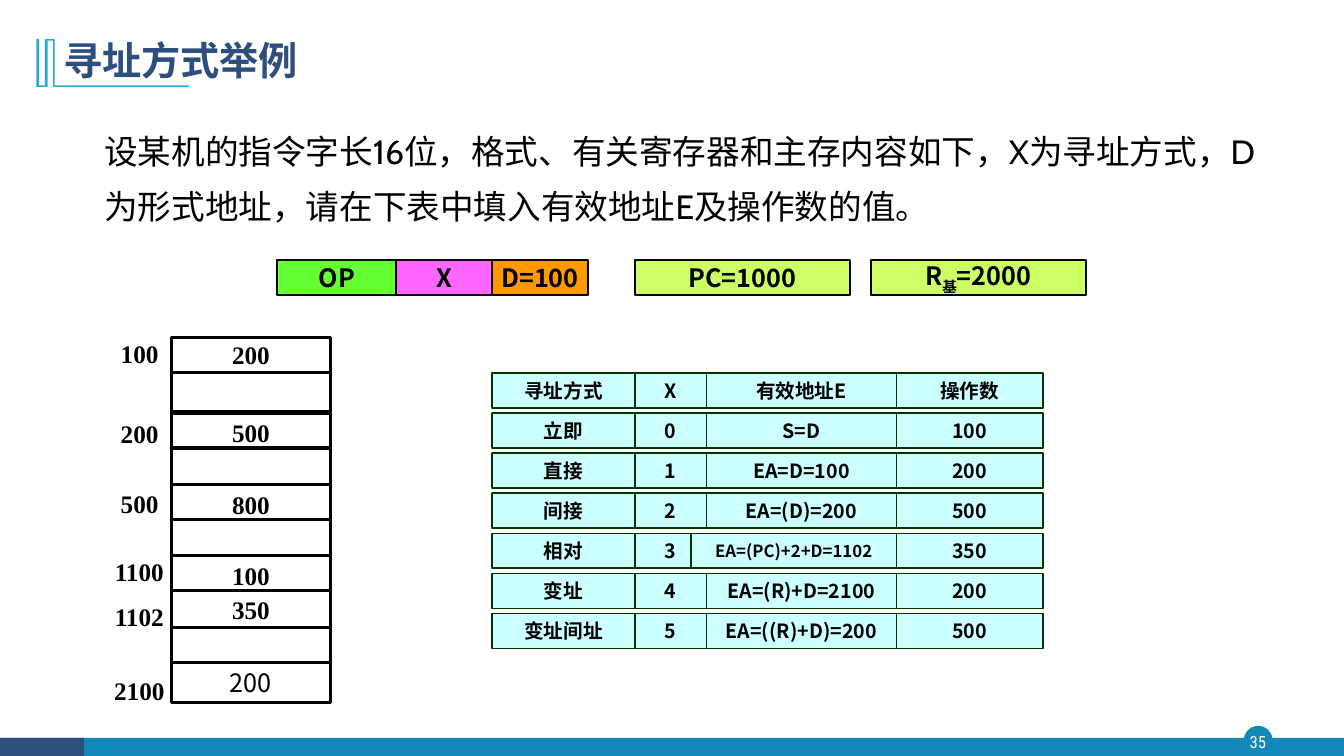
from lxml import etree
from pptx import Presentation
from pptx.dml.color import RGBColor
from pptx.enum.shapes import MSO_SHAPE
from pptx.enum.text import MSO_ANCHOR, MSO_AUTO_SIZE, PP_ALIGN
from pptx.oxml.ns import qn
from pptx.util import Pt

RECT, OVAL = MSO_SHAPE.RECTANGLE, MSO_SHAPE.OVAL
TOP, MIDDLE = MSO_ANCHOR.TOP, MSO_ANCHOR.MIDDLE
LEFT, CENTER = PP_ALIGN.LEFT, PP_ALIGN.CENTER
NO_AUTOSIZE = MSO_AUTO_SIZE.NONE

BLACK = RGBColor(0x00, 0x00, 0x00)
WHITE = RGBColor(0xFF, 0xFF, 0xFF)
NAVY = RGBColor(0x2E, 0x4E, 0x7E)
TEAL = RGBColor(0x13, 0x87, 0xB7)
SKY = RGBColor(0x28, 0xA9, 0xD6)
GREEN = RGBColor(0x66, 0xFF, 0x33)
PINK = RGBColor(0xFF, 0x66, 0xFF)
ORANGE = RGBColor(0xFF, 0x99, 0x00)
LIME = RGBColor(0xCC, 0xFF, 0x66)
PALE_CYAN = RGBColor(0xCC, 0xFF, 0xFF)
DARK_GREEN = RGBColor(0x00, 0x33, 0x00)

CJK, SERIF = "Noto Sans CJK SC", "Times New Roman"
LATIN, NUMBER = "Cabin", "Roboto Condensed"

# Instruction fields and registers: left offset, width, fill, text, subscript, rest
REGISTERS = [
    (0, 85, GREEN, "OP", "", ""),
    (85, 68.5, PINK, "X", "", ""),
    (153.5, 68.5, ORANGE, "D=100", "", ""),
    (255.5, 153.5, LIME, "PC=1000", "", ""),
    (424, 153.5, LIME, "R", "基", "=2000"),
]
# Memory cells: top offset, height, content
MEMORY_CELLS = [
    (0, 25, "200"), (25, 28, ""), (54, 28, "500"), (79, 26, ""), (105, 28, "800"),
    (130, 32, ""), (156, 28, "100"), (181, 26, "350"), (207, 26, ""), (232, 29, "200"),
]
# Memory addresses: top offset, address
ADDRESSES = [(-3, "100"), (54, "200"), (104.5, "500"),
             (152.5, "1100"), (185, "1102"), (237.5, "2100")]
MODES = [
    ("寻址方式", "X", "有效地址E", "操作数"),
    ("立即", "0", "S=D", "100"),
    ("直接", "1", "EA=D=100", "200"),
    ("间接", "2", "EA=(D)=200", "500"),
    ("相对", "3", "EA=(PC)+2+D=1102", "350"),
    ("变址", "4", "EA=(R)+D=2100", "200"),
    ("变址间址", "5", "EA=((R)+D)=200", "500"),
]
MODE_WIDTHS = (102, 51, 136, 104.5)
ROW_STEP, ROW_HEIGHT = 28.6, 25
RELATIVE_ROW, ADDRESS_COLUMN, EXTRA_WIDTH = 4, 2, 11


def add_run(paragraph, text, size, font, color=BLACK, bold=False):
    run = paragraph.add_run()
    run.text = text
    run.font.size, run.font.bold, run.font.name = Pt(size), bold, font
    run.font.color.rgb = color
    east_asian = etree.SubElement(run.font._element, qn("a:ea"))
    east_asian.set("typeface", CJK)
    return run


def set_frame(holder, align=CENTER, anchor=MIDDLE, wrap=True):
    frame = holder.text_frame
    frame.word_wrap, frame.vertical_anchor = wrap, anchor
    frame.auto_size = NO_AUTOSIZE
    frame.paragraphs[0].alignment = align
    return frame.paragraphs[0]


def add_block(slide, kind, left, top, width, height, fill, line=None, weight=1):
    block = slide.shapes.add_shape(kind, Pt(left), Pt(top), Pt(width), Pt(height))
    block.shadow.inherit = False
    block.fill.solid()
    block.fill.fore_color.rgb = fill
    if line is None:
        block.line.fill.background()
    else:
        block.line.color.rgb = line
        block.line.width = Pt(weight)
    return block


def add_label(slide, left, top, width, height):
    return slide.shapes.add_textbox(Pt(left), Pt(top), Pt(width), Pt(height))


def add_footer(slide, left, top, width, height):
    # Page badge, then the two-tone bar, then the page number
    add_block(slide, OVAL, left + 889, top - 8, 19.5, 19.5, TEAL, TEAL)
    add_block(slide, RECT, left, top, width, height, TEAL)
    add_block(slide, RECT, left, top, 60, height, NAVY)
    page_number = add_label(slide, left + 887, top - 8, 23, 22)
    paragraph = set_frame(page_number)
    frame = page_number.text_frame
    frame.margin_left = frame.margin_right = frame.margin_top = frame.margin_bottom = 0
    add_run(paragraph, "35", 12, NUMBER, WHITE)


def add_heading(slide, left, top, width, height):
    # Double-bar ornament with an underline
    outline = [(13, 0), (13, 33.2), (109, 33.2), (109, 34.4), (11.6, 34.4), (11.6, 1.4),
               (8, 1.4), (8, 34.4), (0, 34.4), (0, 0), (2, 0), (2, 32.6), (6, 32.6), (6, 0)]
    points = [(left + x, top + 8 + y) for x, y in outline]
    builder = slide.shapes.build_freeform(*points[0], scale=Pt(1))
    builder.add_line_segments(points[1:], close=True)
    ornament = builder.convert_to_shape()
    ornament.shadow.inherit = False
    ornament.fill.solid()
    ornament.fill.fore_color.rgb = SKY
    ornament.line.fill.background()

    title = slide.shapes.title
    title.left, title.top = Pt(left + 12), Pt(top)
    title.width, title.height = Pt(width - 12), Pt(height)
    paragraph = set_frame(title, LEFT)
    paragraph.line_spacing = 0.9
    add_run(paragraph, "寻址方式举例", 28, CJK, NAVY, True)


def add_question(slide, left, top, width, height):
    question = add_label(slide, left, top, width, height)
    paragraph = set_frame(question, LEFT, TOP)
    paragraph.line_spacing = 1.35
    add_run(paragraph, "设某机的指令字长16位，格式、有关寄存器和主存内容如下，X为寻址方式，"
            "D为形式地址，请在下表中填入有效地址E及操作数的值。", 24, LATIN)


def add_registers(slide, left, top, height):
    for offset, width, fill, name, subscript, rest in REGISTERS:
        register = add_block(slide, RECT, left + offset, top, width, height, fill, BLACK, 1.5)
        paragraph = set_frame(register, wrap=False)
        add_run(paragraph, name, 18, CJK, bold=True)
        if subscript:
            lowered = add_run(paragraph, subscript, 18, CJK, bold=True)
            lowered.font._element.set("baseline", "-25000")
            add_run(paragraph, rest, 18, CJK, bold=True)


def add_memory(slide, left, top, width):
    last = len(MEMORY_CELLS) - 1
    for index, (offset, height, content) in enumerate(MEMORY_CELLS):
        cell = add_block(slide, RECT, left, top + offset, width, height, WHITE, BLACK, 2.25)
        if content:
            font = CJK if index == last else SERIF
            add_run(set_frame(cell, wrap=False), content, 18, font, bold=index != last)
    for offset, address in ADDRESSES:
        label = add_label(slide, left - 57, top + offset, 68, 29)
        # Three-digit addresses sit in a narrower box
        if len(address) == 3:
            label.left, label.width = Pt(left - 45.5), Pt(45.5)
        add_run(set_frame(label, anchor=TOP), address, 18, SERIF, bold=True)


def add_mode_grid(slide, left, top):
    for row, entries in enumerate(MODES):
        for column, entry in enumerate(entries):
            cell_left, width = left + sum(MODE_WIDTHS[:column]), MODE_WIDTHS[column]
            size = 14
            # The long relative address gets a wider cell and smaller text
            if (row, column) == (RELATIVE_ROW, ADDRESS_COLUMN):
                cell_left, width, size = cell_left - EXTRA_WIDTH, width + EXTRA_WIDTH, 12
            cell = add_block(slide, RECT, cell_left, top + row * ROW_STEP, width,
                             ROW_HEIGHT, PALE_CYAN, DARK_GREEN)
            add_run(set_frame(cell), entry, size, CJK, bold=True)


def main():
    deck = Presentation()
    deck.slide_width, deck.slide_height = Pt(960), Pt(540)
    slide = deck.slides.add_slide(deck.slide_layouts[5])
    add_footer(slide, 0, 527, 960, 13)
    add_heading(slide, 26, 20, 840, 49)
    add_registers(slide, 198, 186, 25)
    add_memory(slide, 122.5, 241, 113.5)
    add_mode_grid(slide, 351.5, 266.5)
    add_question(slide, 67.5, 80, 844, 82)
    deck.save("out.pptx")


if __name__ == "__main__":
    main()
